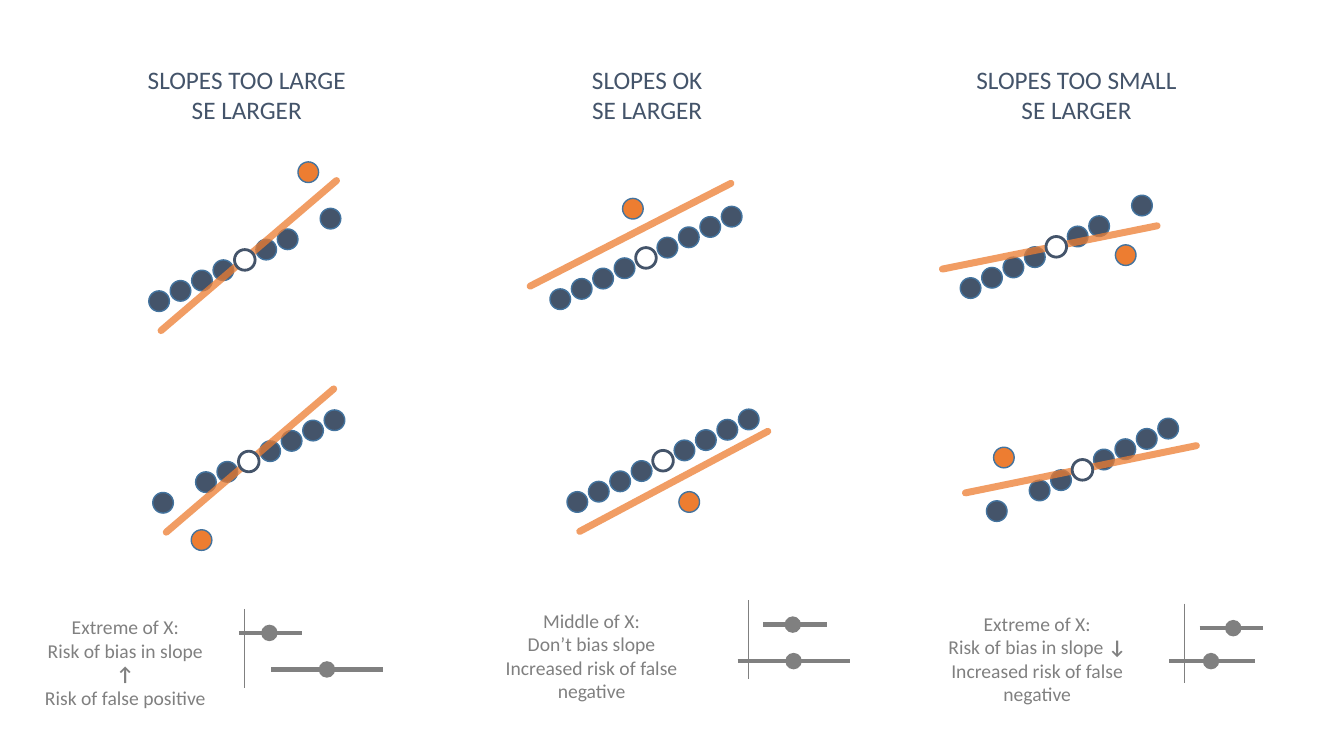
from lxml import etree
from pptx import Presentation
from pptx.dml.color import RGBColor
from pptx.enum.shapes import MSO_CONNECTOR, MSO_SHAPE
from pptx.enum.text import MSO_AUTO_SIZE, PP_ALIGN
from pptx.oxml.ns import qn
from pptx.util import Cm, Pt

STRAIGHT = MSO_CONNECTOR.STRAIGHT
OVAL = MSO_SHAPE.OVAL
NO_AUTOFIT = MSO_AUTO_SIZE.NONE
CENTER = PP_ALIGN.CENTER

NAVY, ORANGE, RIM, GREY, WHITE = "44546A", "ED7D31", "43739E", "808080", "FFFFFF"
STEP_X, STEP_Y = 0.54, 0.26
POINT_SIZE, ESTIMATE_SIZE = 0.52, 0.38
AXIS_HEIGHT = 1.99
color = RGBColor.from_string


def add_dot(group, x, y, size, fill, rim, rim_width):
    dot = group.shapes.add_shape(
        OVAL, Cm(x - size / 2), Cm(y - size / 2), Cm(size), Cm(size))
    dot.shadow.inherit = False
    dot.fill.solid()
    dot.fill.fore_color.rgb = color(fill)
    dot.line.color.rgb = color(rim)
    dot.line.width = Pt(rim_width)


def add_line(group, x1, y1, x2, y2, stroke, width):
    line = group.shapes.add_connector(STRAIGHT, Cm(x1), Cm(y1), Cm(x2), Cm(y2))
    line.line.color.rgb = color(stroke)
    line.line.width = Pt(width)
    etree.SubElement(line._element.spPr, qn("a:effectLst"))
    return line


prs = Presentation()
prs.slide_width, prs.slide_height = Cm(33.87), Cm(19.05)
slide = prs.slides.add_slide(prs.slide_layouts[6])

# Scatter plots: pivot, steps of the points from it, outlier, fitted line
all_steps = (-4, -3, -2, -1, 1, 2, 3, 4)
no_third = (-4, -3, -2, -1, 1, 2, 4)
no_minus_third = (-4, -2, -1, 1, 2, 3, 4)
scatter_plots = [
    ((6.17, 6.55), no_third, (7.77, 4.34), (4.06, 8.33, 8.48, 4.55)),
    ((16.28, 6.5), all_steps, (15.95, 5.26), (13.36, 7.21, 18.42, 4.62)),
    ((26.62, 6.22), no_third, (28.37, 6.43), (23.75, 6.78, 29.16, 5.69)),
    ((6.27, 11.63), no_minus_third, (5.08, 13.61), (4.19, 13.41, 8.41, 9.8)),
    ((16.71, 11.61), all_steps, (17.37, 12.65), (14.61, 13.39, 19.35, 10.87)),
    ((27.28, 11.84), no_minus_third, (25.3, 11.53), (24.33, 12.42, 30.15, 11.23)),
]
for (pivot_x, pivot_y), steps, outlier, fit in scatter_plots:
    plot = slide.shapes.add_group_shape()
    for step in steps:
        add_dot(plot, pivot_x + step * STEP_X, pivot_y - step * STEP_Y,
                POINT_SIZE, NAVY, RIM, 1)
    add_dot(plot, *outlier, POINT_SIZE, ORANGE, RIM, 1)
    fit_line = add_line(plot, *fit, ORANGE, 5)
    stroke = fit_line.line._ln
    stroke.set("cap", "rnd")
    etree.SubElement(stroke.find(".//" + qn("a:srgbClr")), qn("a:alpha"), val="75000")
    add_dot(plot, pivot_x, pivot_y, POINT_SIZE, WHITE, NAVY, 2)

# Forest plots: axis x and top, then drop, start, end and estimate of each interval
forest_plots = [
    (6.17, 15.34, [(0.61, 6.02, 7.62, 6.79), (1.53, 6.83, 9.65, 8.24)]),
    (18.87, 15.12, [(0.62, 19.23, 20.83, 19.98), (1.54, 18.59, 21.41, 20)]),
    (29.84, 15.21, [(0.62, 30.23, 31.83, 31.08), (1.45, 29.46, 31.62, 30.52)]),
]
for axis_x, axis_top, intervals in forest_plots:
    forest = slide.shapes.add_group_shape()
    add_line(forest, axis_x, axis_top, axis_x, axis_top + AXIS_HEIGHT, GREY, 0.5)
    for drop, start, end, estimate in intervals:
        y = axis_top + drop
        add_line(forest, start, y, end, y, GREY, 3)
        add_dot(forest, estimate, y, ESTIMATE_SIZE, GREY, GREY, 1)

# Headings and captions: centre, top, width, height, format, colour, lines
heading = {"size": Pt(18), "name": "Calibri"}
caption = {"size": Pt(14), "name": "Calibri"}
labels = [
    (6.22, 1.5, 10.62, 1.8, heading, NAVY, ["SLOPES TOO LARGE", "SE LARGER"]),
    (16.31, 1.5, 10.62, 1.8, heading, NAVY, ["SLOPES OK", "SE LARGER"]),
    (27.13, 1.5, 10.62, 1.8, heading, NAVY, ["SLOPES TOO SMALL", "SE LARGER"]),
    (3.16, 15.37, 4.7, 2.6, caption, GREY,
     ["Extreme of X:", "Risk of bias in slope ↑", "Risk of false positive"]),
    (14.91, 15.21, 6.35, 2.6, caption, GREY,
     ["Middle of X:", "Don’t bias slope", "Increased risk of false negative"]),
    (26.14, 15.29, 6.35, 2.6, caption, GREY,
     ["Extreme of X:", "Risk of bias in slope ↓", "Increased risk of false negative"]),
]
for center, top, width, height, text_format, ink, lines in labels:
    label = slide.shapes.add_textbox(
        Cm(center - width / 2), Cm(top), Cm(width), Cm(height))
    frame = label.text_frame
    frame.word_wrap = True
    frame.auto_size = NO_AUTOFIT
    for index, line in enumerate(lines):
        paragraph = frame.paragraphs[0] if index == 0 else frame.add_paragraph()
        paragraph.alignment = CENTER
        words = line.rstrip("↑↓")
        arrow = line[len(words):]
        for piece in filter(None, (words, arrow)):
            run = paragraph.add_run()
            run.text = piece
            for attribute, value in text_format.items():
                setattr(run.font, attribute, value)
            run.font.bold = piece == arrow
            run.font.color.rgb = color(ink)

prs.save("out.pptx")
